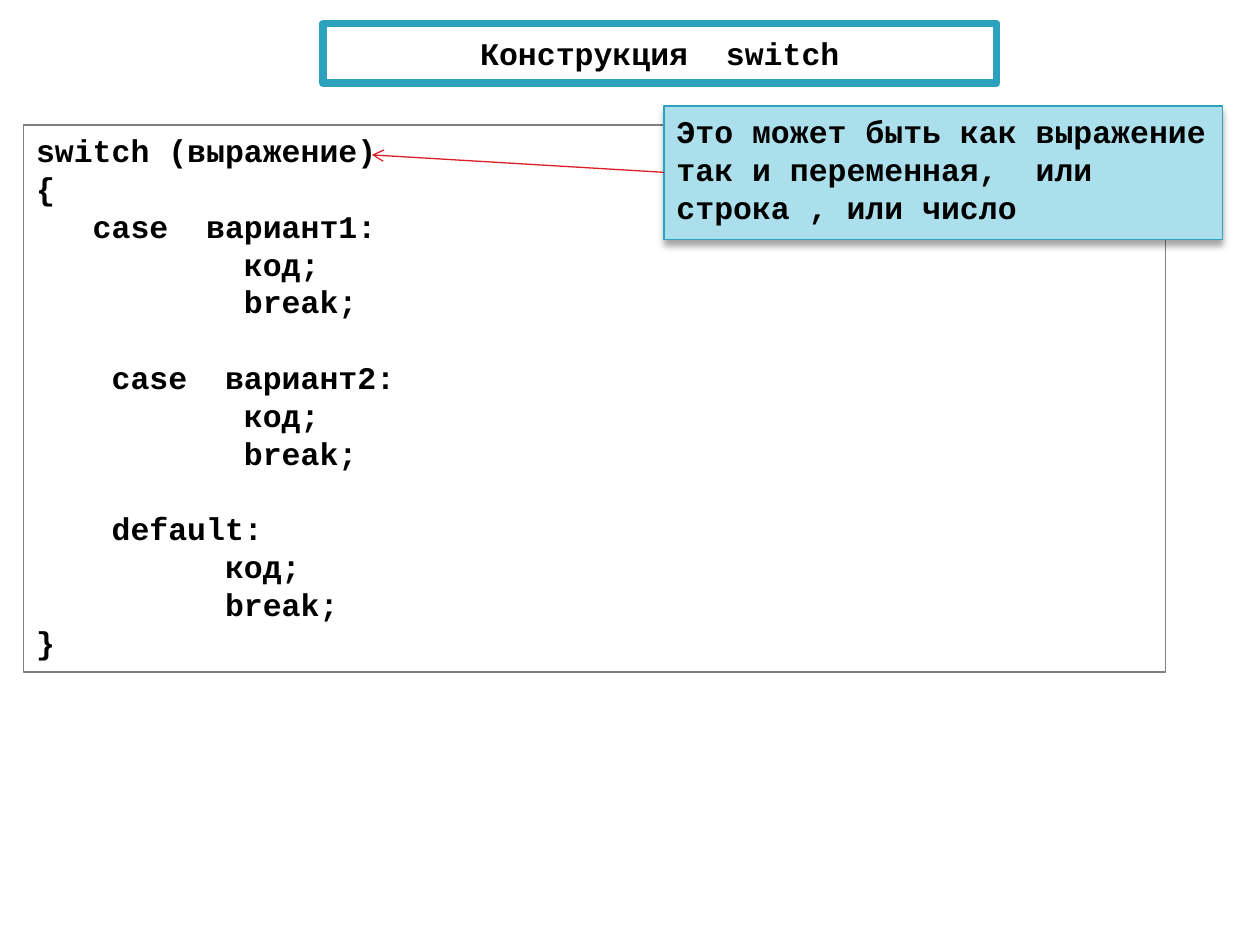
from lxml.etree import SubElement
from pptx import Presentation
from pptx.dml.color import RGBColor
from pptx.enum.shapes import MSO_CONNECTOR as Line, MSO_SHAPE as Shape
from pptx.enum.text import MSO_ANCHOR as Anchor, MSO_AUTO_SIZE as AutoSize, PP_ALIGN as Align
from pptx.oxml.ns import qn
from pptx.util import Pt

TEAL = "2DA2BF"
LINE_HEIGHT = 21.6
CODE = """switch (выражение)
{
   case  вариант1:
           код;
           break;

    case  вариант2:
           код;
           break;

    default:
          код;
          break;
}"""
REMARK = "Это может быть как выражение так и переменная,  или строка , или число"


def color(value):
    """Turn a hex string into a colour."""
    return RGBColor.from_string(value)


def place(box, left, top, width, height):
    """Set the position and size of a box in points."""
    box.left, box.top, box.width, box.height = map(Pt, (left, top, width, height))


def style_outline(item, value, width):
    """Give a box or connector a solid line."""
    item.line.color.rgb = color(value)
    item.line.width = Pt(width)


def style_fill(box, value=None):
    """Fill a box with a colour, or leave it open."""
    if value:
        box.fill.solid()
        box.fill.fore_color.rgb = color(value)
    else:
        box.fill.background()


def write(box, text, size=18, font="Courier New", align=Align.LEFT, anchor=Anchor.TOP):
    """Write bold lines, turning each empty line into space before the next."""
    frame = box.text_frame
    frame.word_wrap = True
    frame.auto_size = AutoSize.NONE
    frame.vertical_anchor = anchor
    para, gap = frame.paragraphs[0], 0
    for number, line in enumerate(text.split("\n")):
        if not line:
            gap += LINE_HEIGHT
            continue
        if number:
            para = frame.add_paragraph()
        para.alignment = align
        para.space_before = Pt(gap)
        gap = 0
        span = para.add_run()
        span.text = line
        span.font.name = font
        span.font.size = Pt(size)
        span.font.bold = True
        span.font.color.rgb = color("000000")


def add_box(page, text, bounds, outline, fill=None):
    """Add an outlined rectangle with text."""
    box = page.shapes.add_shape(Shape.RECTANGLE, *map(Pt, bounds))
    box.shadow.inherit = False
    style_fill(box, fill)
    style_outline(box, outline, 0.75)
    write(box, text)
    return box


def format_title(page, text, bounds):
    """Place the title in a thick teal frame."""
    title = page.shapes.title
    place(title, *bounds)
    style_fill(title, "FFFFFF")
    style_outline(title, TEAL, 4.33)
    write(title, text, align=Align.CENTER, anchor=Anchor.MIDDLE)


def add_drop_shadow(box, blur=4, distance=3, opacity=35):
    """Cast a soft black shadow straight down."""
    effects = box.element.spPr.find(qn("a:effectLst"))
    shadow = SubElement(effects, qn("a:outerShdw"), blurRad=str(Pt(blur)),
                        dist=str(Pt(distance)), dir=str(90 * 60000), rotWithShape="0")
    black = SubElement(shadow, qn("a:srgbClr"), val="000000")
    SubElement(black, qn("a:alpha"), val=str(opacity * 1000))


def add_arrow(page, start, end, value):
    """Draw a thin line with an open arrowhead at its end."""
    arrow = page.shapes.add_connector(Line.STRAIGHT, *map(Pt, start + end))
    style_outline(arrow, value, 0.75)
    SubElement(arrow.line._get_or_add_ln(), qn("a:tailEnd"), type="arrow")
    SubElement(arrow.element.spPr, qn("a:effectLst"))


def main():
    """Build the slide about the switch statement."""
    deck = Presentation()
    deck.slide_width, deck.slide_height = Pt(720), Pt(540)
    page = deck.slides.add_slide(deck.slide_layouts[5])
    format_title(page, "Конструкция  switch", (184.5, 13.5, 385, 34))
    add_box(page, CODE, (13.5, 71.5, 652.5, 312.5), "808080")
    remark = add_box(page, REMARK, (379.5, 60.5, 319, 76.5), TEAL, "ABDFEB")
    add_drop_shadow(remark)
    add_arrow(page, (379.5, 98.5), (212.5, 88.5), "DA1F28")
    deck.save("out.pptx")


if __name__ == "__main__":
    main()
